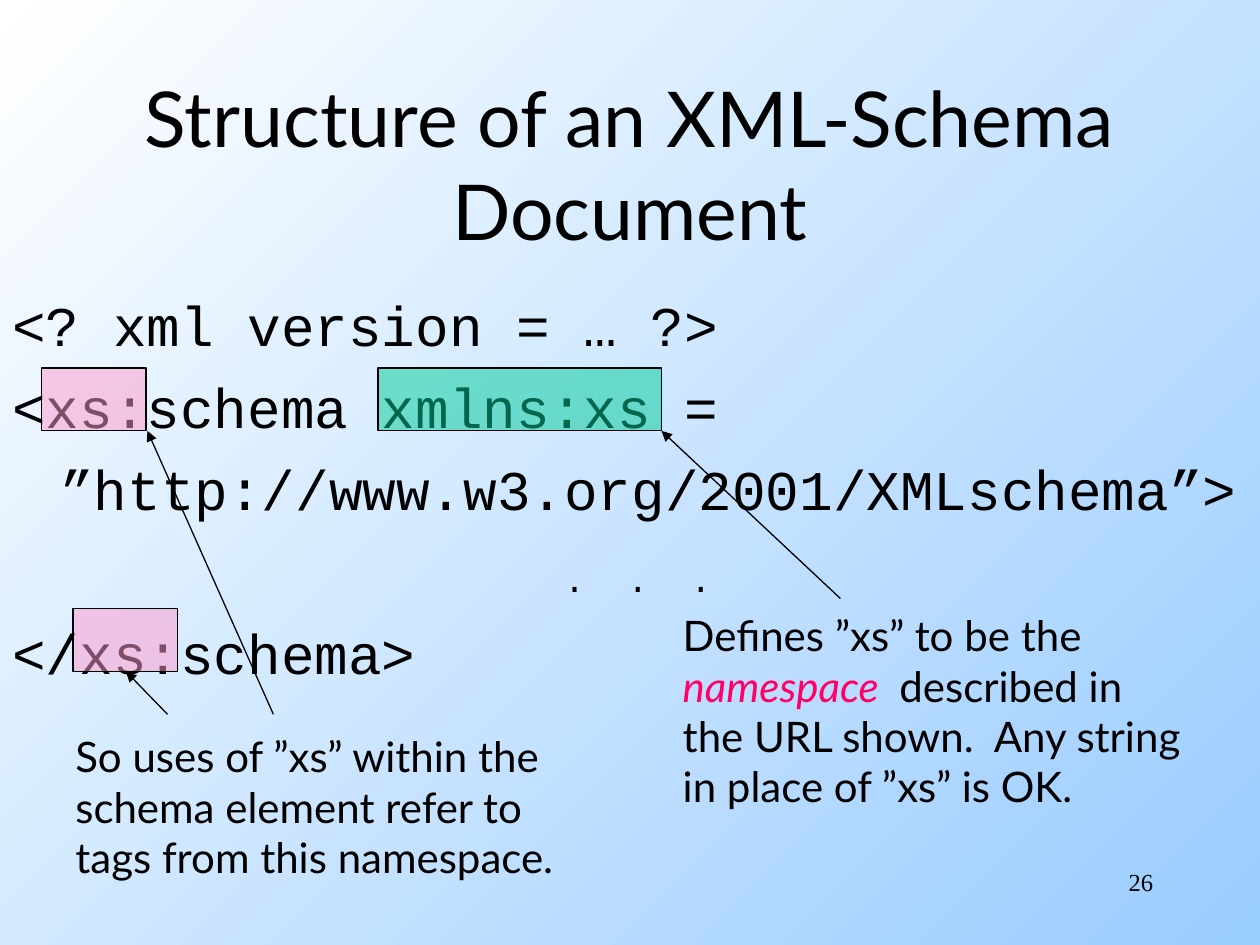
from lxml import etree
from pptx import Presentation
from pptx.dml.color import RGBColor
from pptx.enum.shapes import MSO_CONNECTOR, MSO_SHAPE
from pptx.enum.text import MSO_ANCHOR, PP_ALIGN
from pptx.oxml.ns import qn
from pptx.util import Inches, Pt

LEFT, CENTER, RIGHT = PP_ALIGN.LEFT, PP_ALIGN.CENTER, PP_ALIGN.RIGHT
TOP, MIDDLE = MSO_ANCHOR.TOP, MSO_ANCHOR.MIDDLE
RECTANGLE = MSO_SHAPE.RECTANGLE
STRAIGHT = MSO_CONNECTOR.STRAIGHT

TITLE_ONLY = 5
SANS, MONO, SERIF = "Lato", "Courier New", "Times New Roman"
BLACK, WHITE, SKY = "000000", "FFFFFF", "99CCFF"
PINK, GREEN, MAGENTA = "FF99CC", "00CC99", "FF0066"
HANGING = 0.38
DOTS_INDENT = 4.38


def color(hex_string):
    return RGBColor.from_string(hex_string)


def write(paragraph, text, font=SANS, size=24, fill=BLACK, italic=False):
    """Add a formatted run to a paragraph."""
    run = paragraph.add_run()
    run.text = text
    run.font.name = font
    run.font.size = Pt(size)
    run.font.italic = italic
    run.font.color.rgb = color(fill)


class SchemaSlide:
    def __init__(self, presentation):
        layout = presentation.slide_layouts[TITLE_ONLY]
        self.slide = presentation.slides.add_slide(layout)
        self.shapes = self.slide.shapes

    def background(self, start, end, angle):
        fill = self.slide.background.fill
        fill.gradient()
        fill.gradient_angle = angle
        for stop, position, hex_string in zip(fill.gradient_stops, (0, 1), (start, end)):
            stop.position = position
            stop.color.rgb = color(hex_string)

    def title(self, text, left, top, width, height):
        shape = self.shapes.title
        shape.left, shape.top = Inches(left), Inches(top)
        shape.width, shape.height = Inches(width), Inches(height)
        shape.text_frame.vertical_anchor = MIDDLE
        paragraph = shape.text_frame.paragraphs[0]
        paragraph.alignment = CENTER
        paragraph.line_spacing = 1.0
        write(paragraph, text, size=44)

    def text(self, lines, left, top, width, height, align=LEFT, space_before=0):
        """Each line is a list of (text, format) runs; return its paragraphs."""
        box = self.shapes.add_textbox(Inches(left), Inches(top), Inches(width), Inches(height))
        frame = box.text_frame
        frame.word_wrap = True
        frame.vertical_anchor = TOP
        for index, runs in enumerate(lines):
            paragraph = frame.add_paragraph() if index else frame.paragraphs[0]
            paragraph.alignment = align
            paragraph.space_before = Pt(space_before if index else 0)
            for text, style in runs:
                write(paragraph, text, **style)
        return frame.paragraphs

    def indent(self, paragraph, margin, first_line):
        properties = paragraph._p.get_or_add_pPr()
        properties.set("marL", str(Inches(margin)))
        properties.set("indent", str(Inches(first_line)))

    def highlight(self, fill, left, top, width, height=0.5):
        shape = self.shapes.add_shape(
            RECTANGLE, Inches(left), Inches(top), Inches(width), Inches(height))
        shape.shadow.inherit = False
        shape.fill.solid()
        shape.fill.fore_color.rgb = color(fill)
        # Half transparent, so the code shows through
        rgb = shape.fill._xPr.find(".//" + qn("a:srgbClr"))
        etree.SubElement(rgb, qn("a:alpha"), val="50000")
        shape.line.color.rgb = color(BLACK)
        shape.line.width = Pt(0.75)

    def arrow(self, start, end):
        connector = self.shapes.add_connector(STRAIGHT, *map(Inches, start + end))
        connector.line.color.rgb = color(BLACK)
        connector.line.width = Pt(0.75)
        line = connector.line._get_or_add_ln()
        etree.SubElement(line, qn("a:tailEnd"), type="triangle")
        etree.SubElement(connector._element.spPr, qn("a:effectLst"))


def main():
    presentation = Presentation()
    presentation.slide_width, presentation.slide_height = Inches(10), Inches(7.5)
    page = SchemaSlide(presentation)
    page.background(WHITE, SKY, 315)
    page.title("Structure of an XML-Schema Document", 0.75, 0.67, 8.5, 1.25)
    page.text([[("26", dict(font=SERIF, size=14))]], 7.17, 6.83, 2.08, 0.5, align=RIGHT)

    # Schema code
    code = dict(font=MONO, size=32)
    small_code = dict(font=MONO, size=20)
    code_lines = page.text([
        [("<? xml version = … ?>", code)],
        [("<xs:schema xmlns:xs =", code)],
        [("”http://www.w3.org/2001/XMLschema”>", code)],
        [("\t", code), (".  .  .", small_code)],
        [("</xs:schema>", code)],
    ], 0, 2.26, 10, 4.4, space_before=8.4)
    page.indent(code_lines[2], HANGING, 0)
    page.indent(code_lines[3], DOTS_INDENT, -DOTS_INDENT)

    # Namespace definition
    plain = dict(size=24)
    page.text([
        [("Defines ”xs” to be the", plain)],
        [("namespace ", dict(fill=MAGENTA, italic=True)), (" described in", plain)],
        [("the URL shown.  Any string", plain)],
        [("in place of ”xs” is OK.", plain)],
    ], 5.32, 4.79, 4.22, 1.7)
    page.highlight(GREEN, 3, 2.92, 2.25)
    page.arrow((6.67, 4.75), (5.25, 3.42))

    # Uses of the prefix
    for left, top in ((0.33, 2.92), (0.58, 4.83)):
        page.highlight(PINK, left, top, 0.83)
    page.text([[(line, plain)] for line in (
        "So uses of ”xs” within the",
        "schema element refer to",
        "tags from this namespace.",
    )], 0.5, 5.75, 4.1, 1.3)
    page.arrow((1.33, 5.67), (1, 5.33))
    page.arrow((2.17, 5.67), (1.17, 3.42))

    presentation.save("out.pptx")


if __name__ == "__main__":
    main()
